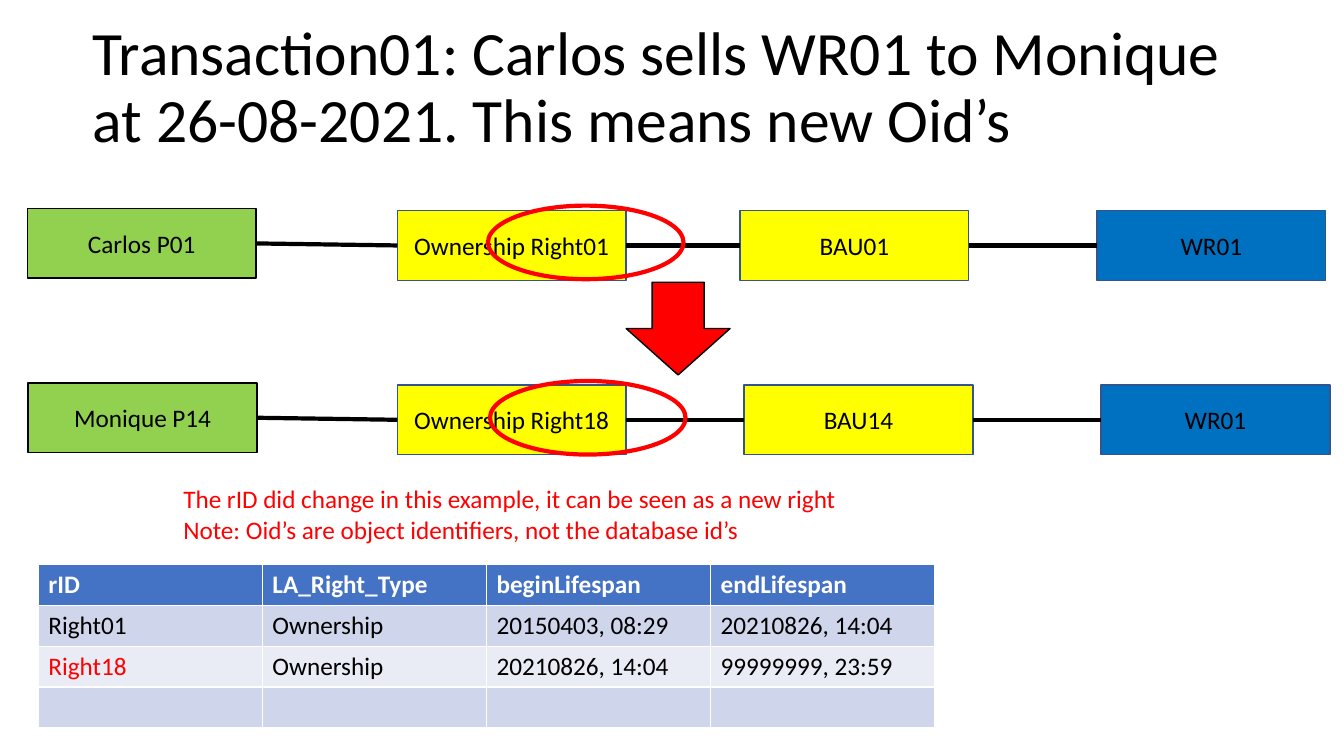
from dataclasses import dataclass

import pptx
import pptx.dml.color
import pptx.enum.shapes
import pptx.enum.text
import pptx.oxml
import pptx.util
from lxml import etree

SHAPE = pptx.enum.shapes.MSO_SHAPE
ALIGN = pptx.enum.text.PP_ALIGN
ANCHOR = pptx.enum.text.MSO_ANCHOR


@dataclass(frozen=True)
class Theme:
    font: str = "Calibri"
    title_size: int = 44
    body_size: int = 18
    thin: int = 1
    thick: int = 3
    black: str = "000000"
    white: str = "FFFFFF"
    red: str = "FF0000"
    party: str = "92D050"
    right: str = "FFFF00"
    unit: str = "0070C0"
    outline: str = "325491"
    header: str = "4472C4"
    bands: tuple = ("CFD5EA", "E9EBF5")


THEME = Theme()


def color(value):
    return pptx.dml.color.RGBColor.from_string(value)


def write(frame, text, size=THEME.body_size, ink=THEME.black, bold=False,
          align=ALIGN.LEFT, anchor=ANCHOR.TOP, spacing=None, wrap=True):
    """Fill a text frame, one paragraph per line of text."""
    frame.word_wrap = wrap
    frame.vertical_anchor = anchor
    for index, line in enumerate(text.split("\n")):
        paragraph = frame.add_paragraph() if index else frame.paragraphs[0]
        paragraph.alignment = align
        paragraph.line_spacing = spacing
        run = paragraph.add_run()
        run.text = line
        run.font.name = THEME.font
        run.font.size = pptx.util.Pt(size)
        run.font.bold = bold
        run.font.color.rgb = color(ink)


class SlideBuilder:
    """Draws on one slide; every box is (left, top, width, height) in percent of the slide."""

    def __init__(self, presentation, theme):
        self.theme = theme
        self.width = presentation.slide_width
        self.height = presentation.slide_height
        self.slide = presentation.slides.add_slide(presentation.slide_layouts[6])
        self.shapes = self.slide.shapes

    def place(self, box):
        left, top, width, height = box
        return (int(left * self.width / 100), int(top * self.height / 100),
                int(width * self.width / 100), int(height * self.height / 100))

    def shape(self, kind, box, fill=None, line=THEME.black, weight=THEME.thin, text=None):
        shape = self.shapes.add_shape(kind, *self.place(box))
        shape.shadow.inherit = False
        if fill:
            shape.fill.solid()
            shape.fill.fore_color.rgb = color(fill)
        else:
            shape.fill.background()
        shape.line.color.rgb = color(line)
        shape.line.width = pptx.util.Pt(weight)
        if text:
            write(shape.text_frame, text, align=ALIGN.CENTER, anchor=ANCHOR.MIDDLE)
        return shape

    def text(self, box, text, **style):
        write(self.shapes.add_textbox(*self.place(box)).text_frame, text, **style)

    def link(self, left_shape, right_shape):
        connector = self.shapes.add_connector(
            pptx.enum.shapes.MSO_CONNECTOR.STRAIGHT, 0, 0, 0, 0)
        connector.begin_connect(left_shape, 3)
        connector.end_connect(right_shape, 1)
        connector.line.color.rgb = color(self.theme.black)
        connector.line.width = pptx.util.Pt(self.theme.thick)
        etree.SubElement(connector.element.spPr, pptx.oxml.ns.qn("a:effectLst"))

    def table(self, box, rows, highlights):
        table = self.shapes.add_table(len(rows), len(rows[0]), *self.place(box)).table
        for row_index, row in enumerate(rows):
            is_header = row_index == 0
            fill = self.theme.header if is_header else self.theme.bands[(row_index - 1) % 2]
            for column_index, text in enumerate(row):
                cell = table.cell(row_index, column_index)
                cell.fill.solid()
                cell.fill.fore_color.rgb = color(fill)
                ink = self.theme.white if is_header else self.theme.black
                if text:
                    write(cell.text_frame, text, bold=is_header,
                          ink=self.theme.red if text in highlights else ink)


# Top of the row, then the left edge and label of each box.
CHAINS = (
    (27.87, ((2.03, "Carlos P01"), (29.56, "Ownership Right01"),
             (55.06, "BAU01"), (81.62, "WR01"))),
    (50.93, ((2.1, "Monique P14"), (29.56, "Ownership Right18"),
             (55.36, "BAU14"), (81.92, "WR01"))),
)
BOX_WIDTH, BOX_HEIGHT = 17.03, 9.2
PARTY_RAISE = 0.27
RINGS = ((36.31, 27.2), (36.46, 50.4))
RIGHTS = (
    ("rID", "LA_Right_Type", "beginLifespan", "endLifespan"),
    ("Right01", "Ownership", "20150403, 08:29", "20210826, 14:04"),
    ("Right18", "Ownership", "20210826, 14:04", "99999999, 23:59"),
    ("", "", "", ""),
)


def main():
    presentation = pptx.Presentation()
    presentation.slide_width = pptx.util.Inches(13.33)
    presentation.slide_height = pptx.util.Inches(7.5)
    builder = SlideBuilder(presentation, THEME)

    builder.text((6.15, 2.13, 86.27, 19.33),
                 "Transaction01: Carlos sells WR01 to Monique at 26-08-2021. "
                 "This means new Oid’s",
                 size=THEME.title_size, spacing=0.9, anchor=ANCHOR.MIDDLE)

    fills = (THEME.party, THEME.right, THEME.right, THEME.unit)
    for top, entries in CHAINS:
        boxes = []
        for (left, label), fill in zip(entries, fills):
            is_party = fill == THEME.party
            boxes.append(builder.shape(
                SHAPE.RECTANGLE,
                (left, top - PARTY_RAISE * is_party, BOX_WIDTH, BOX_HEIGHT),
                fill, THEME.black if is_party else THEME.outline, text=label))
        for left_box, right_box in zip(boxes, boxes[1:]):
            builder.link(left_box, right_box)

    builder.shape(SHAPE.DOWN_ARROW, (46.59, 37.33, 7.73, 12.27), THEME.red)
    builder.text((12.9, 63.33, 52.14, 9.47),
                 "The rID did change in this example, it can be seen as a new right\n"
                 "Note: Oid’s are object identifiers, not the database id’s",
                 ink=THEME.red, wrap=False)
    builder.table((2.85, 74.67, 66.69, 21.6), RIGHTS, highlights=("Right18",))
    for left, top in RINGS:
        builder.shape(SHAPE.OVAL, (left, top, 14.55, 9.73),
                      line=THEME.red, weight=THEME.thick)

    presentation.save("out.pptx")


if __name__ == "__main__":
    main()
